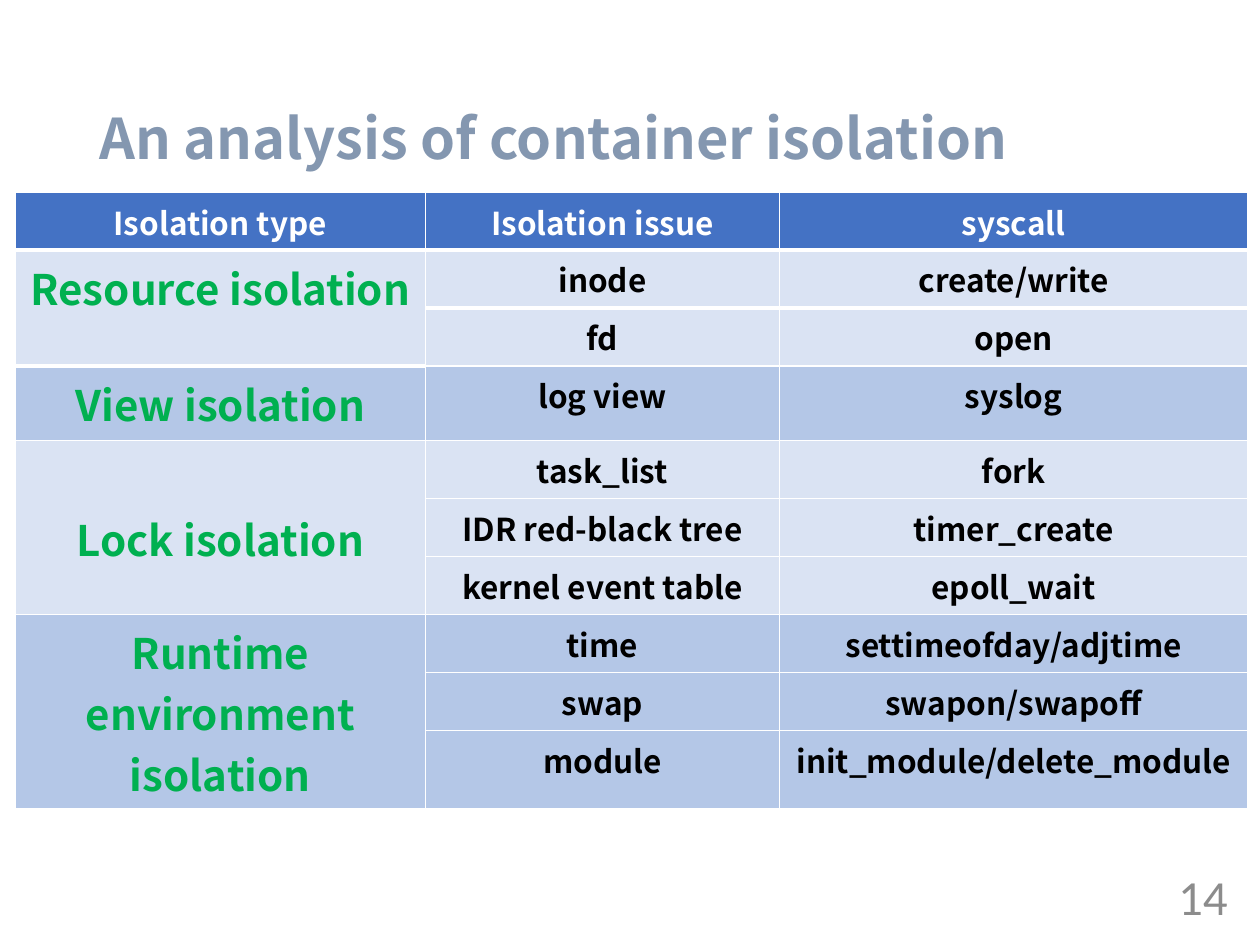
from dataclasses import dataclass

from lxml import etree
from pptx import Presentation
from pptx import util as u
from pptx.dml.color import RGBColor
from pptx.enum import text
from pptx.oxml import ns

HEADING_FONT = "Noto Sans CJK SC"
HEADER_FILL = "4472C4"
BAND_FILLS = ("DAE3F3", "B4C7E7")


@dataclass
class Style:
    size: int
    color: str
    align: text.PP_ALIGN = text.PP_ALIGN.CENTER
    bold: bool = True
    font: str = HEADING_FONT


@dataclass
class Group:
    name: str
    issues: list[tuple[str, str]]
    top_margin: float = 0.13
    last_height: float = 1.17


TITLE = Style(32, "8497B0", text.PP_ALIGN.LEFT)
PAGE_NUMBER = Style(28, "8C8C8C", text.PP_ALIGN.RIGHT, False, "Calibri")
HEADER = Style(18, "FFFFFF")
GROUP_NAME = Style(24, "00B050")
ISSUE = Style(18, "000000")

HEADINGS = ("Isolation type", "Isolation issue", "syscall")
GROUPS = [
    Group("Resource isolation", [("inode", "create/write"), ("fd", "open")]),
    Group("View isolation", [("log view", "syslog")], last_height=1.5),
    Group("Lock isolation", [("task_list", "fork"),
                             ("IDR red-black tree", "timer_create"),
                             ("kernel event table", "epoll_wait")], top_margin=1.36),
    Group("Runtime environment isolation", [("time", "settimeofday/adjtime"),
                                            ("swap", "swapon/swapoff"),
                                            ("module", "init_module/delete_module")],
          last_height=1.58),
]
COLUMN_WIDTHS = (8.28, 7.13, 9.45)
HEADER_HEIGHT = 1.16
ROW_HEIGHT = 1.17


def rgb(value: str) -> RGBColor:
    return RGBColor.from_string(value)


def write(frame, content: str, style: Style):
    paragraph = frame.paragraphs[0]
    paragraph.text = content
    paragraph.alignment = style.align
    font = paragraph.font
    font.name = style.font
    font.size = u.Pt(style.size)
    font.bold = style.bold
    font.color.rgb = rgb(style.color)
    return paragraph


def add_text(page, left: float, top: float, width: float, height: float,
             content: str, style: Style):
    box = page.shapes.add_textbox(u.Cm(left), u.Cm(top), u.Cm(width), u.Cm(height))
    frame = box.text_frame
    frame.word_wrap = True
    frame.vertical_anchor = text.MSO_ANCHOR.MIDDLE
    return write(frame, content, style)


def fill_cell(cell, color: str, content: str, style: Style) -> None:
    cell.fill.solid()
    cell.fill.fore_color.rgb = rgb(color)
    write(cell.text_frame, content, style)


def set_border(cell, edge: str, color: str, points: float) -> None:
    line = etree.Element(ns.qn(f"a:{edge}"), w=str(u.Pt(points)))
    fill = etree.SubElement(line, ns.qn("a:solidFill"))
    etree.SubElement(fill, ns.qn("a:srgbClr"), val=color)
    cell._tc.get_or_add_tcPr().insert(0, line)


def add_group(table, first_row: int, group: Group, color: str) -> int:
    next_row = first_row + len(group.issues)
    for row, (issue, syscall) in enumerate(group.issues, first_row):
        table.rows[row].height = u.Cm(ROW_HEIGHT)
        fill_cell(table.cell(row, 0), color, "", GROUP_NAME)
        fill_cell(table.cell(row, 1), color, issue, ISSUE)
        fill_cell(table.cell(row, 2), color, syscall, ISSUE)
    table.rows[next_row - 1].height = u.Cm(group.last_height)
    name_cell = table.cell(first_row, 0)
    if len(group.issues) > 1:
        name_cell.merge(table.cell(next_row - 1, 0))
    fill_cell(name_cell, color, group.name, GROUP_NAME)
    name_cell.margin_top = u.Cm(group.top_margin)
    return next_row


def add_isolation_table(page) -> None:
    row_count = 1 + sum(len(group.issues) for group in GROUPS)
    table = page.shapes.add_table(
        row_count, len(HEADINGS), u.Cm(0.3), u.Cm(3.88),
        u.Cm(sum(COLUMN_WIDTHS)), u.Cm(ROW_HEIGHT * row_count)).table
    for column, width in zip(table.columns, COLUMN_WIDTHS):
        column.width = u.Cm(width)
    table.rows[0].height = u.Cm(HEADER_HEIGHT)
    next_row = 1
    for index, group in enumerate(GROUPS):
        next_row = add_group(table, next_row, group, BAND_FILLS[index % 2])
    for index, heading in enumerate(HEADINGS):
        fill_cell(table.cell(0, index), HEADER_FILL, heading, HEADER)
        set_border(table.cell(0, index), "lnB", "FFFFFF", 3)
        set_border(table.cell(1, index), "lnT", "FFFFFF", 3)


def main() -> None:
    deck = Presentation()
    deck.slide_width, deck.slide_height = u.Cm(25.4), u.Cm(19.05)
    page = deck.slides.add_slide(deck.slide_layouts[6])
    title = add_text(page, 1.75, 1.02, 21.9, 3.68,
                     "An analysis of container isolation", TITLE)
    title.line_spacing = 0.9
    add_text(page, 19.08, 17.55, 5.92, 1.02, "14", PAGE_NUMBER)
    add_isolation_table(page)
    deck.save("out.pptx")


if __name__ == "__main__":
    main()
